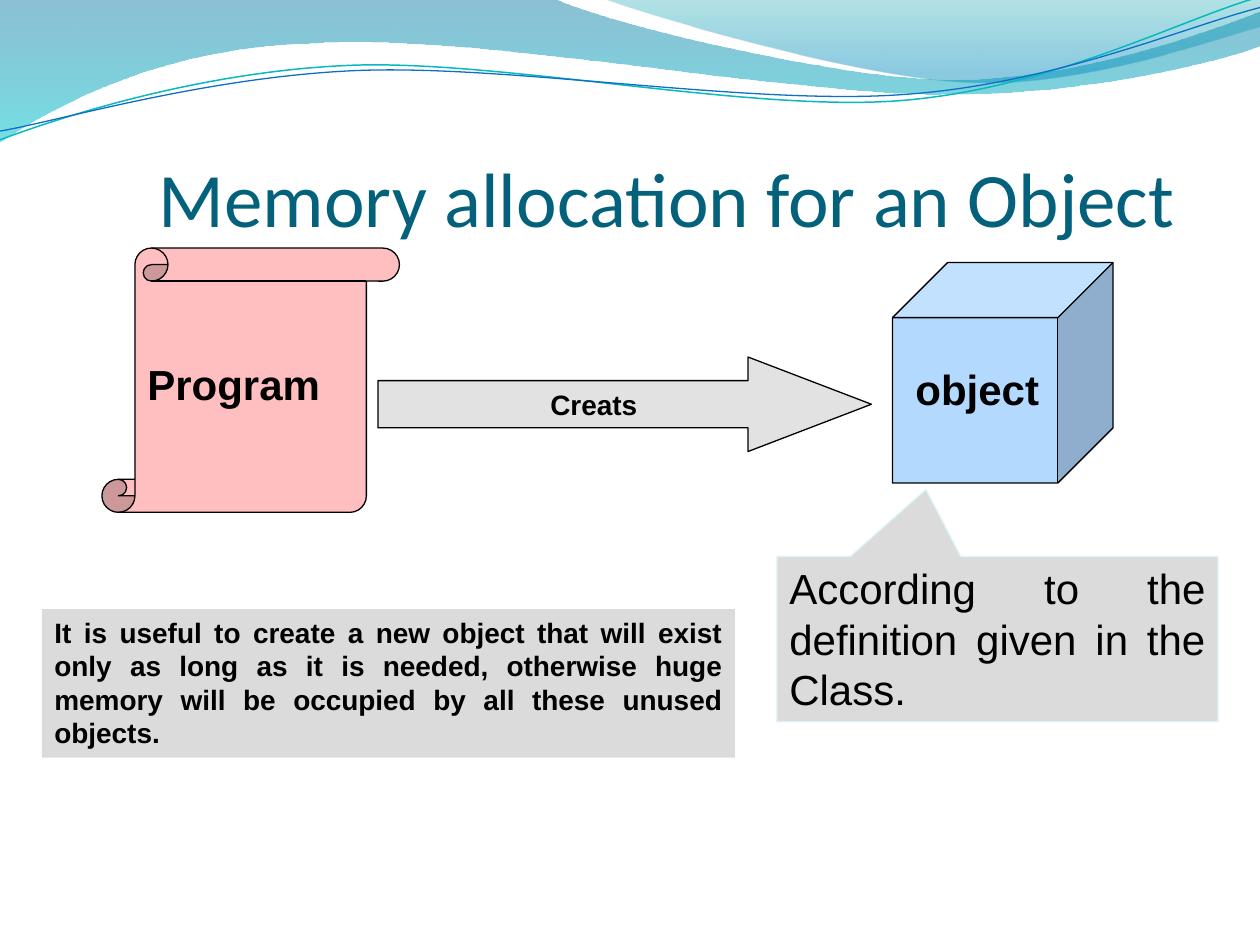
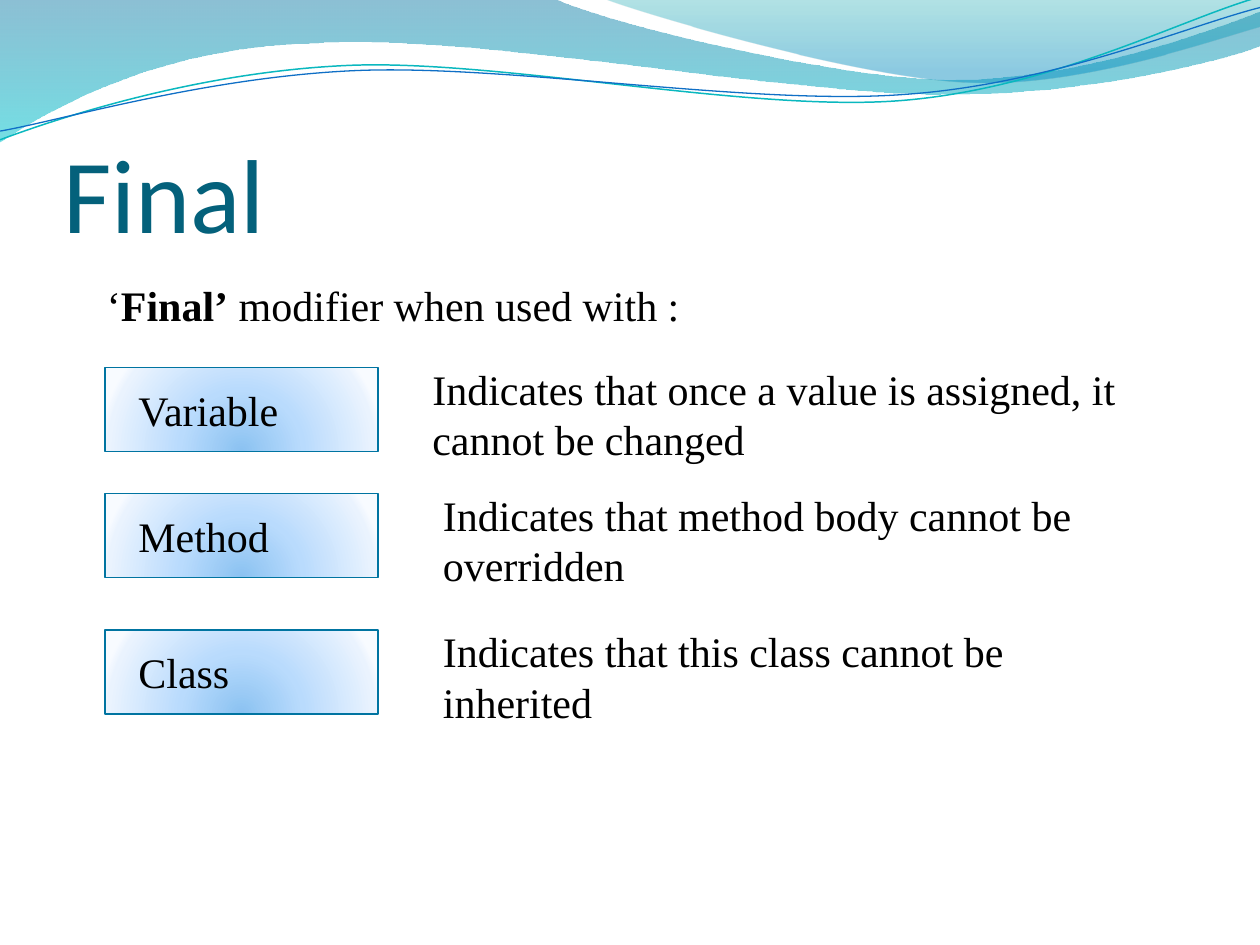
from lxml import etree
from pptx import Presentation
from pptx.dml.color import RGBColor
from pptx.enum import shapes, text
from pptx.oxml import ns
from pptx.util import Pt

KIND = shapes.MSO_SHAPE
ALIGN = text.PP_ALIGN
ANCHOR = text.MSO_ANCHOR
SANS, SERIF, TITLE_FONT = "Arial", "Times New Roman", "Calibri"
BLACK, TITLE_TEAL, GREY = "000000", "04617B", "DBDBDB"

# Outlines: a start point, then lines (one point) and Bezier curves (three points).
BANDS = [
    ([(0, 0), [(316.8, -0.7)],
      [(342.7, 12.2), (478.1, 45.4), (545.8, 45.4)],
      [(614.2, 45.4), (689.8, 18.7), (720, 6.5)],
      [(720.7, 25.9)],
      [(707.8, 31.7), (626.4, 54.7), (537.1, 54)],
      [(447.8, 54), (275, 20.2), (185, 24.5)],
      [(92.9, 25.9), (33.1, 59.8), (-0.7, 81.4)],
      [(0, 0)]],
     [(0, "0074A1", 45), (100, "00C6CF", 55)]),
    ([(344.9, -0.7),
      [(366.5, 7.9), (491, 44.6), (553.7, 46.8)],
      [(616.3, 49.7), (691.9, 23), (720, 15.1)],
      [(720, 0)], [(344.9, -0.7)]],
     [(0, "00A1A9", 30), (80, "008BBF", 45)]),
]
STRANDS = [
    ([(0, 79.9),
      [(34.6, 67), (113.8, 41), (199.4, 37.4)],
      [(284.4, 33.8), (427, 64.1), (513.4, 57.6)],
      [(599.8, 51.1), (675.4, 10.8), (718.6, -1.4)]], "0AB8BF", 0.85),
    ([(0, 74.9),
      [(33.8, 69.1), (118.1, 43.9), (203.8, 40.3)],
      [(290.2, 36.7), (429.8, 60.5), (516.2, 54)],
      [(601.9, 48.2), (677.5, 15.1), (720, 4.3)]], "0F6FC6", 0.75),
]
LABEL_STOPS = [(0, "8BC2F1", 100), (43, "B9DBFD", 100),
               (93, "EAF3FE", 100), (100, "F8FBFF", 100)]


def colour(value):
    return RGBColor.from_string(value)


def points(*values):
    return [Pt(value) for value in values]


def trace(page, outline, close):
    """Build a freeform whose three-point segments are Bezier curves."""
    start, *segments = outline
    builder = page.shapes.build_freeform(*points(*start))
    builder.add_line_segments([points(*point) for segment in segments for point in segment],
                              close=close)
    shape = builder.convert_to_shape()
    steps = iter(list(shape.element.iter(ns.qn("a:lnTo"))))
    for segment in segments:
        first, *others = [next(steps) for _ in segment]
        if others:
            first.tag = ns.qn("a:cubicBezTo")
            for step in others:
                first.append(step[0])
                step.getparent().remove(step)
    return shape


def gradient(shape, stops, round_focus=None):
    """Fill from (position, colour, opacity) stops, downwards or around a focus."""
    shape.fill.gradient()
    fill = shape.element.spPr.find(ns.qn("a:gradFill"))
    for child in list(fill):
        fill.remove(child)

    def add(parent, tag, **attributes):
        child = etree.SubElement(parent, ns.qn(tag))
        for name, value in attributes.items():
            child.set(name, str(value))
        return child

    stop_list = add(fill, "a:gsLst")
    for position, value, opacity in stops:
        tint = add(add(stop_list, "a:gs", pos=position * 1000), "a:srgbClr", val=value)
        if opacity < 100:
            add(tint, "a:alpha", val=opacity * 1000)
    if round_focus:
        sides = {side: share * 1000 for side, share in zip("ltrb", round_focus)}
        add(add(fill, "a:path", path="circle"), "a:fillToRect", **sides)
    else:
        add(fill, "a:lin", ang=90 * 60000, scaled=1)


def outline_shape(shape, value=None, width=0.75):
    shape.shadow.inherit = False
    if value:
        shape.line.color.rgb = colour(value)
        shape.line.width = Pt(width)
    else:
        shape.line.fill.background()


def add_figure(page, kind, box, fill=None, line=None, adjust=()):
    shape = page.shapes.add_shape(kind, *points(*box))
    if fill:
        shape.fill.solid()
        shape.fill.fore_color.rgb = colour(fill)
    outline_shape(shape, line)
    for index, value in enumerate(adjust):
        shape.adjustments[index] = value
    return shape


def write(shape, spans, size, font, value=BLACK, align=ALIGN.LEFT, anchor=ANCHOR.TOP, wrap=True):
    """Write one paragraph of (text, bold) spans."""
    frame = shape.text_frame
    frame.word_wrap = wrap
    frame.vertical_anchor = anchor
    para = frame.paragraphs[0]
    para.alignment = align
    for words, bold in spans:
        span = para.add_run()
        span.text = words
        span.font.name = font
        span.font.size = Pt(size)
        span.font.bold = bold
        span.font.color.rgb = colour(value)


def add_text(page, box, spans, size, font):
    write(page.shapes.add_textbox(*points(*box)), spans, size, font)


def add_title(page, box, words, size):
    title = page.shapes.title
    title.left, title.top, title.width, title.height = points(*box)
    frame = title.text_frame
    frame.margin_left = frame.margin_right = frame.margin_bottom = 0
    frame.auto_size = text.MSO_AUTO_SIZE.NONE
    write(title, [(words, False)], size, TITLE_FONT, TITLE_TEAL, anchor=ANCHOR.BOTTOM)


def add_waves(layout, page):
    """Draw the top waves with the page's builder and hand them to its layout."""
    waves = []
    for outline, stops in BANDS:
        band = trace(page, outline, True)
        gradient(band, stops)
        outline_shape(band)
        waves.append(band)
    for outline, value, width in STRANDS:
        strand = trace(page, outline, False)
        strand.fill.background()
        outline_shape(strand, value, width)
        waves.append(strand)
    for index, wave in enumerate(waves):
        wave.element.nvSpPr.cNvPr.set("id", str(20 + index))
        layout.shapes.element.insert(2 + index, wave.element)


def add_creation_flow(page, left, top):
    """Program scroll, arrow, object cube and the callout below the cube."""
    add_figure(page, KIND.CUBE, (left + 451.75, top + 8.25, 126, 126), "B3D9FF", BLACK, [0.25])
    scroll = add_figure(page, KIND.VERTICAL_SCROLL, (left, top, 170, 151),
                        "FFBFC1", BLACK, [0.125])
    scroll.text_frame.margin_bottom = Pt(9)
    write(scroll, [("Program", True)], 24, SANS, anchor=ANCHOR.MIDDLE)
    arrow = add_figure(page, KIND.RIGHT_ARROW, (left + 157.75, top + 62.25, 282, 54),
                       "E2E2E2", BLACK, [0.5, 1.306])
    write(arrow, [("Creats", True)], 16, SANS, align=ALIGN.CENTER,
          anchor=ANCHOR.MIDDLE, wrap=False)
    callout = add_figure(page, KIND.RECTANGULAR_CALLOUT,
                         (left + 385.75, top + 176.25, 252, 94.5),
                         GREY, "DBF5F9", [-0.162, -0.905])
    write(callout, [("According to the definition given in the Class.", False)],
          24, SANS, align=ALIGN.JUSTIFY)
    add_text(page, (left + 457.75, top + 62.25, 90, 36), [("object", True)], 24, SANS)


def add_note(page, box, words):
    note = add_figure(page, KIND.RECTANGLE, box, GREY)
    write(note, [(words, True)], 16, SANS, align=ALIGN.JUSTIFY)


def add_modifier_row(page, left, top, name, meaning, indent, width):
    """Gradient label with its explanation to the right."""
    label = add_figure(page, KIND.RECTANGLE, (left, top, 156, 48), line="0074A1")
    gradient(label, LABEL_STOPS, round_focus=(50, 130, 50, -30))
    add_text(page, (left + 12, top + 6, 126, 36), [(name, False)], 24, SERIF)
    add_text(page, (left + indent, top - 6, width, 65.5), [(meaning, False)], 24, SERIF)


def memory_slide(page):
    add_title(page, (90.75, 30.25, 629.25, 108.75), "Memory allocation for an Object", 44)
    add_creation_flow(page, 58.25, 141.75)
    add_note(page, (24, 348, 396, 85),
             "It is useful to create a new object that will exist only as long as it is "
             "needed, otherwise huge memory will be occupied by all these unused objects.")


def final_slide(page):
    add_title(page, (36, 55.5, 654, 90), "Final", 60)
    add_text(page, (54, 156, 408, 36),
             [("‘", False), ("Final’", True), (" modifier when used with :", False)], 24, SERIF)
    rows = [
        (210, "Variable", "Indicates that once a value is assigned, it cannot be changed", 180, 432),
        (282, "Method", "Indicates that method body cannot be overridden", 186, 432),
        (360, "Class", "Indicates that this class cannot be inherited", 186, 408),
    ]
    for top, name, meaning, indent, width in rows:
        add_modifier_row(page, 60, top, name, meaning, indent, width)


def main():
    deck = Presentation()
    deck.slide_width, deck.slide_height = points(720, 540)
    layout = deck.slide_layouts.get_by_name("Title Only")
    pages = [deck.slides.add_slide(layout) for _ in range(2)]
    add_waves(layout, pages[0])
    memory_slide(pages[0])
    final_slide(pages[1])
    deck.save("out.pptx")


if __name__ == "__main__":
    main()
